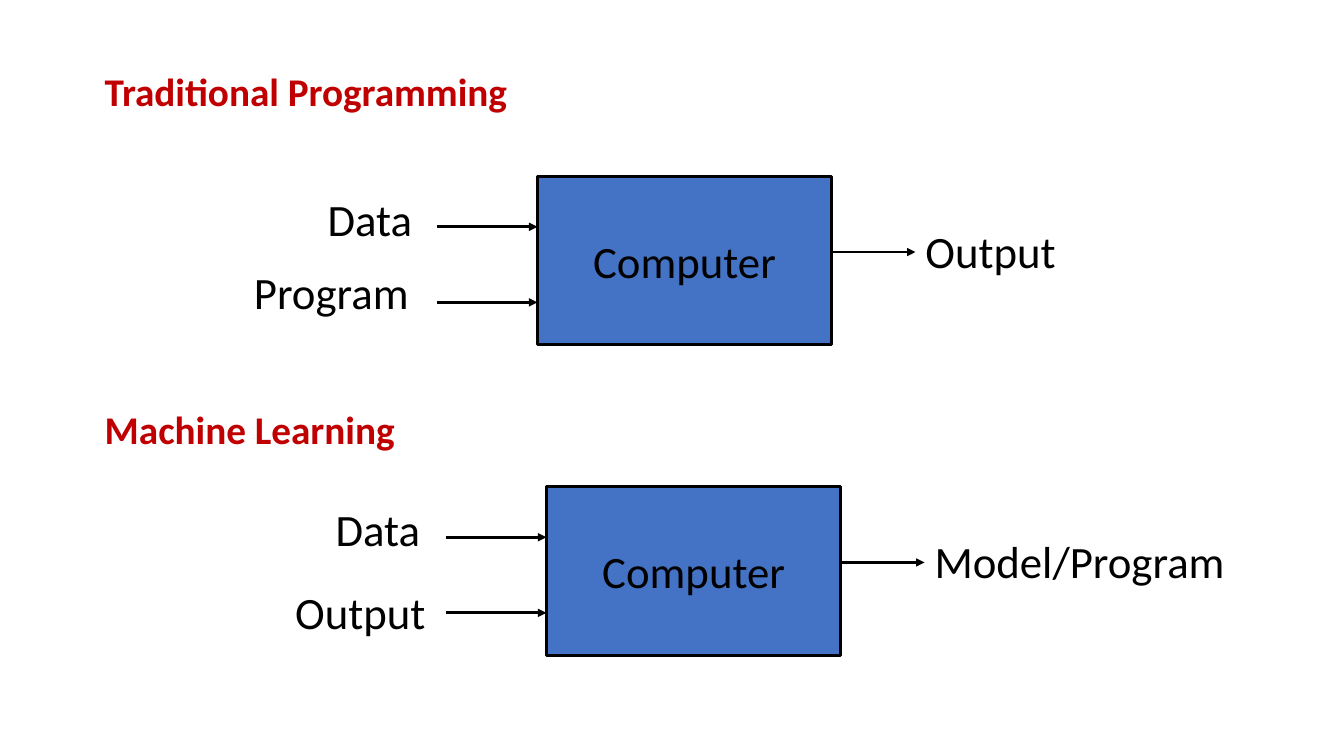
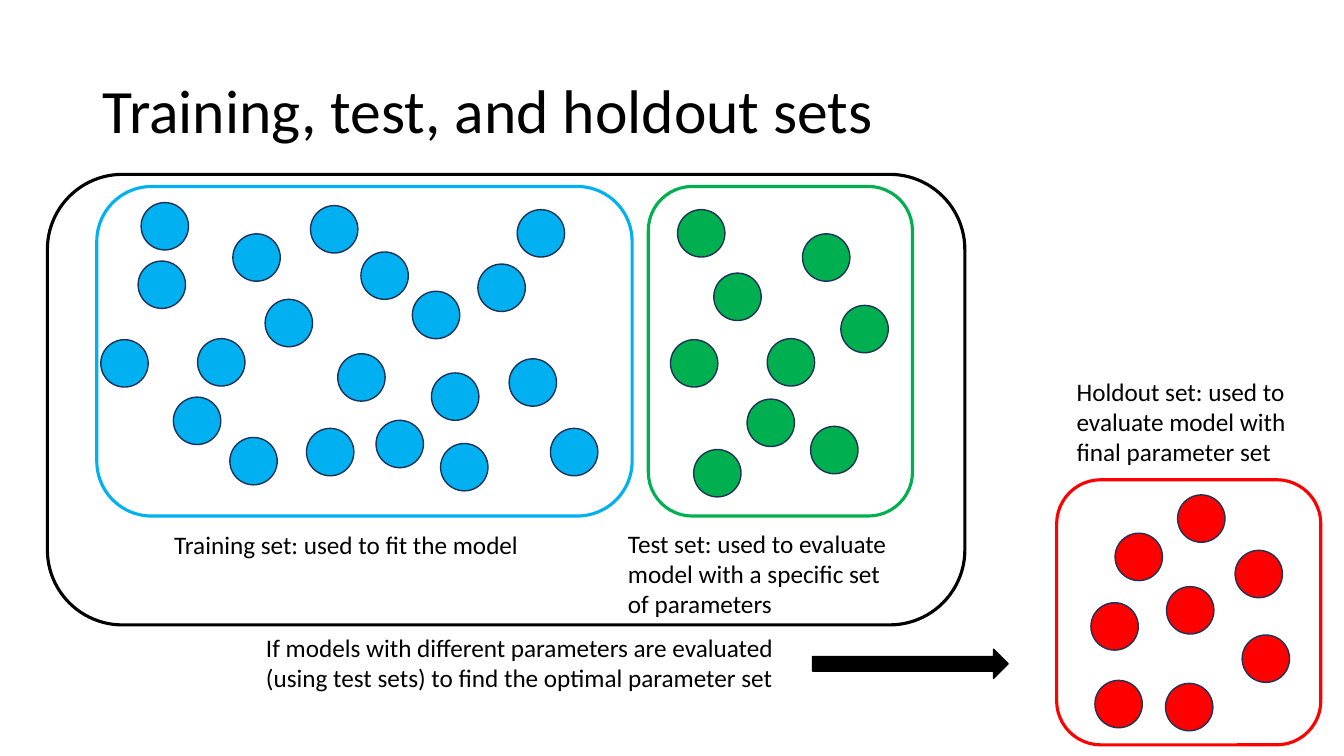
from dataclasses import dataclass

from pptx import Presentation
from pptx.dml.color import RGBColor
from pptx.enum.shapes import MSO_CONNECTOR, MSO_SHAPE
from pptx.enum.text import MSO_ANCHOR, MSO_AUTO_SIZE, PP_ALIGN
from pptx.oxml.ns import qn
from pptx.shapes.autoshape import Shape
from pptx.slide import Slide
from pptx.text.text import TextFrame
from pptx.util import Emu, Pt
from lxml.etree import SubElement

EMU_PER_PX = 9144
FONT = "Calibri"
BLACK, CRIMSON, BOX_BLUE = "000000", "C00000", "4472C4"
SKY, GREEN, RED, NAVY = "00B0F0", "00B050", "FF0000", "1E3256"
DOT_SIZE = 47
TITLE_ONLY, BLANK = 5, 6


@dataclass(frozen=True)
class Box:
    """A rectangle in px."""

    left: int
    top: int
    width: int
    height: int

    def emu(self) -> tuple[Emu, Emu, Emu, Emu]:
        """Return the four lengths in EMU."""
        return px(self.left), px(self.top), px(self.width), px(self.height)


@dataclass(frozen=True)
class Label:
    """A text with its box."""

    text: str
    box: Box


@dataclass(frozen=True)
class Flow:
    """A headed diagram whose labels are placed relative to its computer box."""

    heading: Label
    left: int
    top: int
    labels: tuple[Label, ...]


@dataclass(frozen=True)
class DataSet:
    """A framed set of dots with a caption."""

    color: str
    frame: Box
    caption: Label
    dots: tuple[tuple[int, int], ...]


FLOWS = (
    Flow(Label("Traditional Programming", Box(94, 67, 1031, 60)), 533, 175, (
        Label("Data", Box(-218, 10, 105, 64)),
        Label("Program", Box(-291, 83, 175, 64)),
        Label("Output", Box(375, 42, 153, 64)),
    )),
    Flow(Label("Machine Learning", Box(94, 402, 1031, 60)), 542, 483, (
        Label("Data", Box(-219, 10, 105, 64)),
        Label("Output", Box(-259, 92, 153, 64)),
        Label("Model/Program", Box(375, 42, 311, 64)),
    )),
)
FLOW_ARROWS = ((-100, 0, 50), (-100, 0, 125), (292, 375, 75))

DATA_SETS = (
    DataSet(
        SKY, Box(96, 185, 531, 327),
        Label("Training set: used to fit the model", Box(163, 520, 377, 40)),
        ((137, 259), (196, 336), (308, 204), (140, 201), (100, 337), (335, 351), (231, 232),
         (172, 394), (358, 250), (263, 297), (304, 425), (428, 370), (474, 262), (228, 434),
         (546, 425), (437, 440), (373, 417), (505, 356), (409, 289), (513, 208)),
    ),
    DataSet(
        GREEN, Box(643, 185, 262, 327),
        Label("Test set: used to evaluate model with a specific set of parameters",
              Box(613, 519, 288, 101)),
        ((761, 336), (688, 446), (708, 271), (665, 337), (834, 303), (796, 232), (672, 208),
         (741, 396), (804, 423)),
    ),
    DataSet(
        RED, Box(1048, 476, 262, 263),
        Label("Holdout set: used to evaluate model with final parameter set",
              Box(1058, 368, 244, 101)),
        ((1086, 675), (1106, 529), (1225, 546), (1168, 491), (1156, 678), (1232, 630),
         (1082, 598), (1157, 582)),
    ),
)
SELECTION = Label(
    "If models with different parameters are evaluated "
    "(using test sets) to find the optimal parameter set",
    Box(254, 622, 553, 71),
)


def px(length: int) -> Emu:
    """Turn px into EMU."""
    return Emu(length * EMU_PER_PX)


def rgb(color: str) -> RGBColor:
    """Turn a hex string into a colour."""
    return RGBColor.from_string(color)


def write_text(frame: TextFrame, text: str, *, size: int, color: str = BLACK,
               bold: bool = False, wrap: bool = True, spacing: float = 1.0,
               align: PP_ALIGN = PP_ALIGN.LEFT,
               anchor: MSO_ANCHOR = MSO_ANCHOR.TOP) -> None:
    """Fill a text frame with one formatted paragraph."""
    frame.text = text
    frame.auto_size = MSO_AUTO_SIZE.NONE
    frame.word_wrap = wrap
    frame.vertical_anchor = anchor
    paragraph = frame.paragraphs[0]
    paragraph.alignment = align
    paragraph.line_spacing = spacing
    font = paragraph.runs[0].font
    font.name = FONT
    font.size = Pt(size)
    font.bold = bold
    font.color.rgb = rgb(color)


def add_label(slide: Slide, label: Label, **text_format) -> None:
    """Add a text box."""
    text_box = slide.shapes.add_textbox(*label.box.emu())
    write_text(text_box.text_frame, label.text, **text_format)


def add_shape(slide: Slide, kind: MSO_SHAPE, box: Box, *, line: str,
              line_width: float, fill: str | None = None) -> Shape:
    """Add an outlined preset shape, unfilled by default."""
    shape = slide.shapes.add_shape(kind, *box.emu())
    shape.shadow.inherit = False
    if fill is None:
        shape.fill.background()
    else:
        shape.fill.solid()
        shape.fill.fore_color.rgb = rgb(fill)
    shape.line.color.rgb = rgb(line)
    shape.line.width = Pt(line_width)
    return shape


def add_arrow(slide: Slide, start: int, end: int, top: int) -> None:
    """Add a horizontal arrow."""
    connector = slide.shapes.add_connector(
        MSO_CONNECTOR.STRAIGHT, px(start), px(top), px(end), px(top))
    connector.line.color.rgb = rgb(BLACK)
    connector.line.width = Pt(2)
    properties = connector._element.spPr
    SubElement(properties.find(qn("a:ln")), qn("a:tailEnd"), type="triangle")
    SubElement(properties, qn("a:effectLst"))


def draw_flow(slide: Slide, flow: Flow) -> None:
    """Draw a heading, its computer box, arrows and labels."""
    add_label(slide, flow.heading, size=28, color=CRIMSON, bold=True, spacing=0.9)
    computer = add_shape(slide, MSO_SHAPE.RECTANGLE, Box(flow.left, flow.top, 292, 167),
                         line=BLACK, line_width=2, fill=BOX_BLUE)
    write_text(computer.text_frame, "Computer", size=32, wrap=False,
               align=PP_ALIGN.CENTER, anchor=MSO_ANCHOR.MIDDLE)
    for start, end, drop in FLOW_ARROWS:
        add_arrow(slide, flow.left + start, flow.left + end, flow.top + drop)
    for label in flow.labels:
        box = Box(flow.left + label.box.left, flow.top + label.box.top,
                  label.box.width, label.box.height)
        add_label(slide, Label(label.text, box), size=32, wrap=False)


def draw_data_set(slide: Slide, data_set: DataSet) -> None:
    """Draw the dots, frame and caption of a data set."""
    for left, top in data_set.dots:
        add_shape(slide, MSO_SHAPE.OVAL, Box(left, top, DOT_SIZE, DOT_SIZE),
                  line=NAVY, line_width=1, fill=data_set.color)
    add_shape(slide, MSO_SHAPE.ROUNDED_RECTANGLE, data_set.frame,
              line=data_set.color, line_width=2.25)
    add_label(slide, data_set.caption, size=18)


def add_title(slide: Slide, label: Label) -> None:
    """Place and format the title placeholder."""
    title = slide.shapes.title
    title.left, title.top, title.width, title.height = label.box.emu()
    write_text(title.text_frame, label.text, size=44, spacing=0.9,
               anchor=MSO_ANCHOR.MIDDLE)


def build_programming_slide(presentation: Presentation) -> None:
    """Compare traditional programming with machine learning."""
    slide = presentation.slides.add_slide(presentation.slide_layouts[BLANK])
    for flow in FLOWS:
        draw_flow(slide, flow)


def build_data_sets_slide(presentation: Presentation) -> None:
    """Show the training, test and holdout sets."""
    slide = presentation.slides.add_slide(presentation.slide_layouts[TITLE_ONLY])
    add_title(slide, Label("Training, test, and holdout sets", Box(92, 40, 1150, 145)))
    add_shape(slide, MSO_SHAPE.ROUNDED_RECTANGLE, Box(47, 173, 910, 447),
              line=BLACK, line_width=2.25)
    for data_set in DATA_SETS:
        draw_data_set(slide, data_set)
    add_label(slide, SELECTION, size=18)
    add_shape(slide, MSO_SHAPE.RIGHT_ARROW, Box(806, 644, 194, 29),
              line=BLACK, line_width=1, fill=BLACK)


def main() -> None:
    """Build and save the presentation."""
    presentation = Presentation()
    presentation.slide_width, presentation.slide_height = px(1333), px(750)
    build_programming_slide(presentation)
    build_data_sets_slide(presentation)
    presentation.save("out.pptx")


if __name__ == "__main__":
    main()
